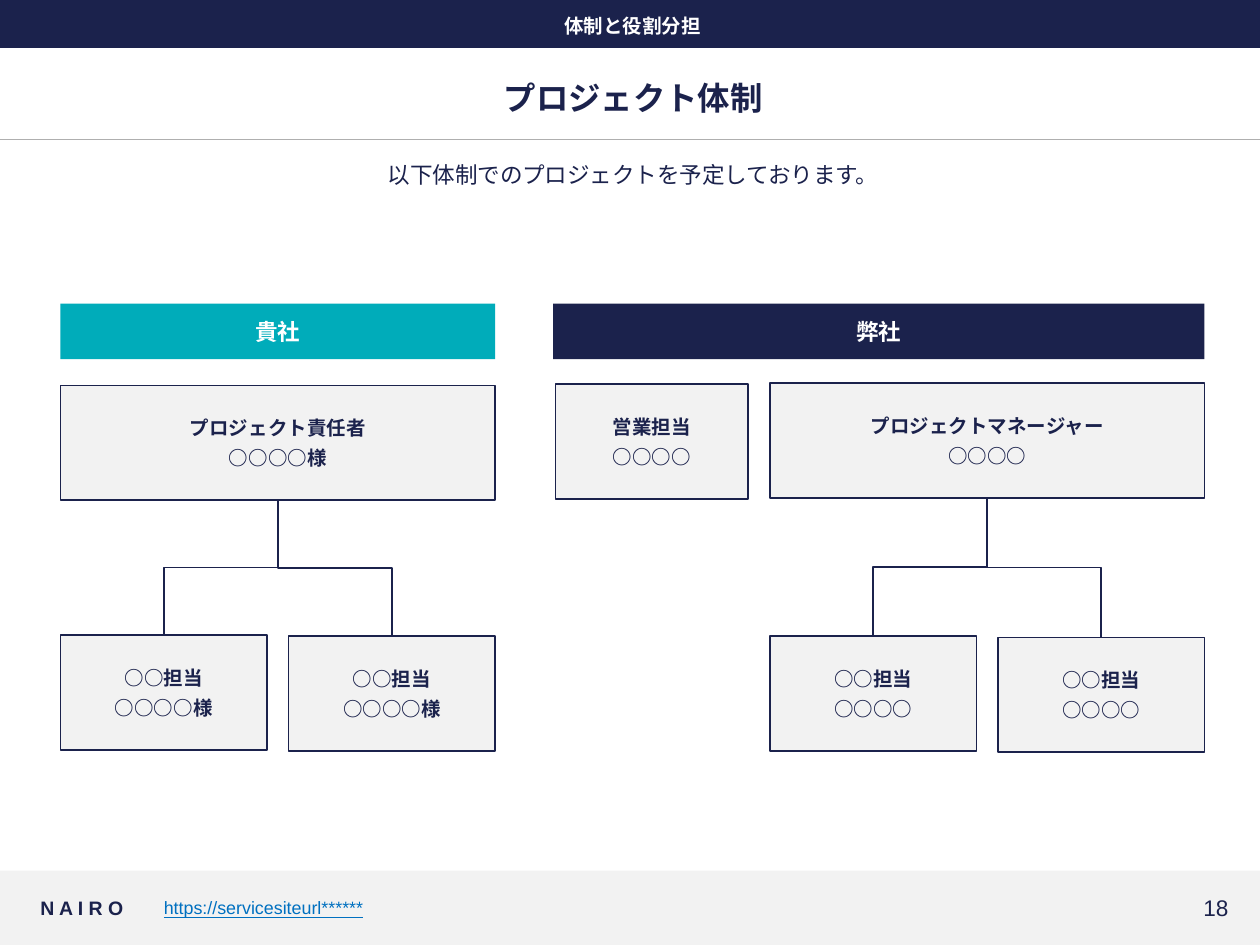
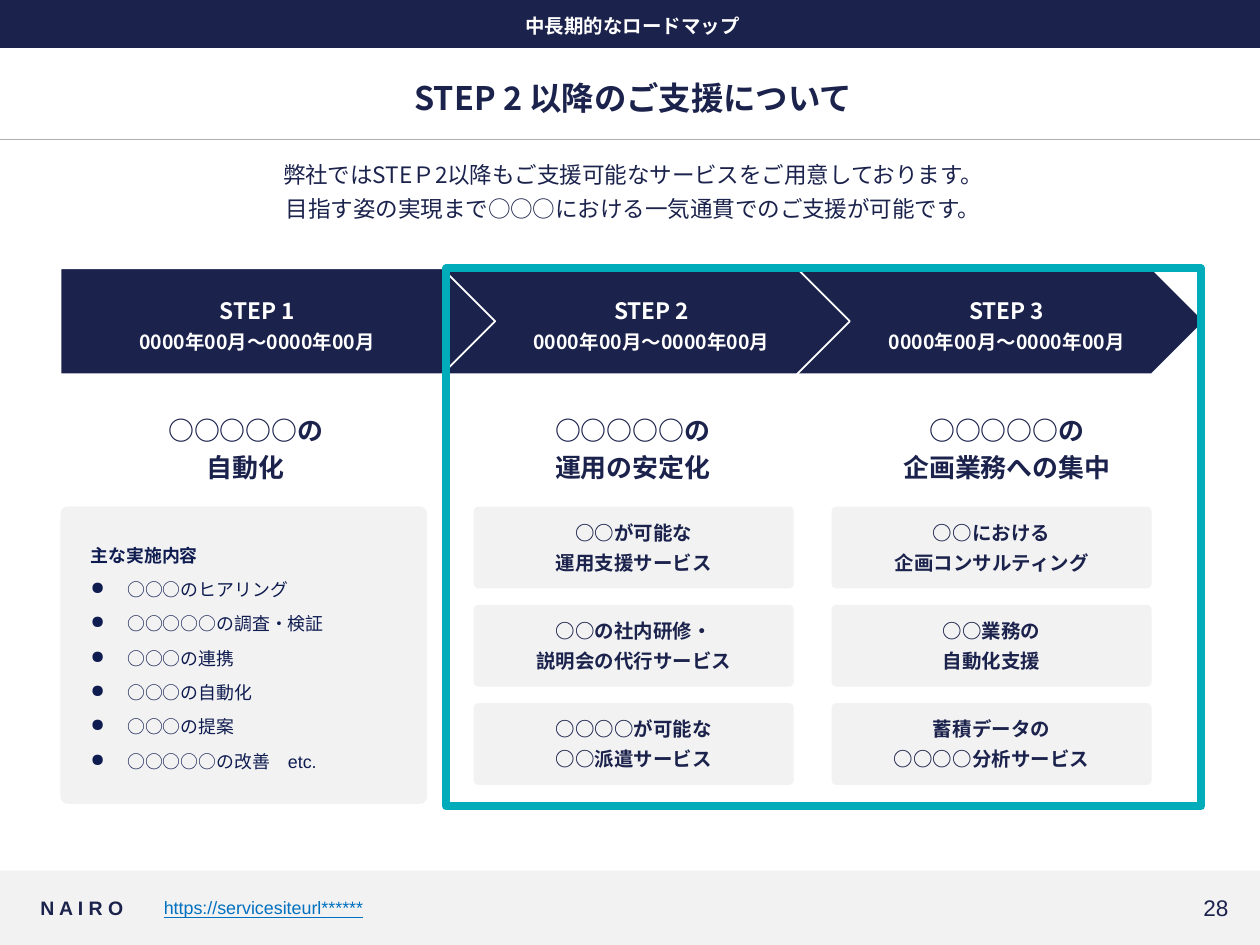
import pptx
import pptx.util
import pptx.dml.color
import pptx.enum.shapes
import pptx.enum.text
import pptx.oxml.ns
import lxml.etree

NAVY, TEAL, GREY, WHITE = "1B224C", "00ACBA", "F2F2F2", "FFFFFF"
RULE, LINK, INK = "AFAFAF", "0070C0", "0F1C50"
SANS, LATIN = "Noto Sans CJK JP", "Arial"
COLS, ROWS = 100, 75  # the grid that all places are given in

Kind = pptx.enum.shapes.MSO_SHAPE
Wire = pptx.enum.shapes.MSO_CONNECTOR
Align = pptx.enum.text.PP_ALIGN
Anchor = pptx.enum.text.MSO_ANCHOR
qn = pptx.oxml.ns.qn


def tint(code):
    return pptx.dml.color.RGBColor.from_string(code)


def write(shape, text, size=11.1, color=NAVY, bold=False, font=SANS, align=Align.CENTER,
          anchor=Anchor.MIDDLE, after=0, hang=None, bullet=None, space=None, under=None):
    """Fill a shape; each line of text becomes a paragraph. Extends a filled one."""
    frame = shape.text_frame
    frame.word_wrap = True
    frame.vertical_anchor = anchor
    frame.margin_left = frame.margin_right = pptx.util.Inches(0.04)
    frame.margin_top = frame.margin_bottom = pptx.util.Inches(0.04)
    for line in text.split("\n"):
        para = frame.add_paragraph() if frame.text else frame.paragraphs[0]
        para.alignment = align
        para.space_after = pptx.util.Pt(after)
        if space:
            para.line_spacing = space
        props = para._p.get_or_add_pPr()
        if hang:
            left, first = hang
            props.set("marL", str(pptx.util.Inches(left)))
            props.set("indent", str(pptx.util.Inches(first)))
        if bullet:
            lxml.etree.SubElement(props, qn("a:buChar")).set("char", bullet)
        run = para.add_run()
        run.text = line
        face = run.font
        face.name, face.size, face.bold = font, pptx.util.Pt(size), bold
        face.color.rgb = tint(color)
        face.underline = under


class Deck:
    def __init__(self):
        self.file = pptx.Presentation()
        self.file.slide_width = pptx.util.Inches(10)
        self.file.slide_height = pptx.util.Inches(7.5)
        self.slide = None

    def place(self, col, row, wide, high):
        across = self.file.slide_width / COLS
        down = self.file.slide_height / ROWS
        return [round(v) for v in (col * across, row * down, wide * across, high * down)]

    def box(self, at, fill=None, line=None, width=1, kind=Kind.RECTANGLE, round_by=None):
        shape = self.slide.shapes.add_shape(kind, *self.place(*at))
        shape.shadow.inherit = False
        if fill:
            shape.fill.solid()
            shape.fill.fore_color.rgb = tint(fill)
        else:
            shape.fill.background()
        if line:
            shape.line.color.rgb = tint(line)
            shape.line.width = pptx.util.Pt(width)
        else:
            shape.line.fill.background()
        if round_by:
            shape.adjustments[0] = round_by
        return shape

    def label(self, at, text, **style):
        shape = self.slide.shapes.add_textbox(*self.place(*at))
        write(shape, text, **style)
        return shape

    def wire(self, kind, ends, color, width):
        line = self.slide.shapes.add_connector(kind, *ends)
        line.line.color.rgb = tint(color)
        line.line.width = pptx.util.Pt(width)
        lxml.etree.SubElement(line._element.spPr, qn("a:effectLst"))
        return line

    def elbow(self, top, low):
        """Join the foot of one box to the head of another, down-across-down."""
        x1, y1 = top.left + top.width // 2, top.top + top.height
        x2, y2 = low.left + low.width // 2, low.top
        line = self.wire(Wire.ELBOW, (x1, y1, x2, y2), NAVY, 1)
        line.begin_connect(top, 2)
        line.end_connect(low, 0)
        # a quarter turn makes the bend leave downwards
        long, wide = y2 - y1, abs(x2 - x1)
        line.left, line.top = (x1 + x2 - long) // 2, (y1 + y2 - wide) // 2
        line.width, line.height = long, wide
        right = x2 > x1
        frame = line._element.spPr.find(qn("a:xfrm"))
        frame.set("rot", str((270 if right else 90) * 60000))
        frame.set("flipH", "1" if right else "0")
        frame.set("flipV", "0")

    def start(self, band, title, lead, page):
        """New slide with footer, top band, title and lead."""
        self.slide = self.file.slides.add_slide(self.file.slide_layouts[6])
        self.box((0, 69.1, COLS, 5.9), GREY)
        self.label((12.6, 70.5, 72.8, 3.1), "https://servicesiteurl******", size=10.2,
                   color=LINK, font=LATIN, align=Align.LEFT, under=True)
        self.label((2.8, 70.5, 9.8, 3.1), "N A I R O", bold=True, font=LATIN,
                   align=Align.LEFT)
        x, y, wide, _ = self.place(0, 11.1, COLS, 0)
        self.wire(Wire.STRAIGHT, (x, y, wide, y), RULE, 0.5)
        self.box((0, -0.1, COLS, 3.9), NAVY)
        body = dict(anchor=Anchor.TOP, after=3.7, hang=(0.15, -0.22))
        self.label((4.8, 12.4, 90.9, 6.3), lead, size=12.9, **body)
        self.label((88.1, 70.5, 9.8, 3.1), page, size=12.9, font=LATIN, align=Align.RIGHT)
        self.label((4.8, 0.7, 90.8, 2.8), band, color=WHITE, bold=True, **body)
        self.label((4.8, 5.8, 90.9, 3.9), title, size=18.5, bold=True)

    def head(self, at, text, fill):
        write(self.box(at, fill), text, size=12.9, color=WHITE, bold=True)

    def role(self, col, row, wide, text):
        shape = self.box((col, row, wide, 9.1), GREY, NAVY)
        write(shape, text, bold=True, after=3.7)
        return shape

    def card(self, at, text=None, round_by=0.059):
        shape = self.box(at, GREY, kind=Kind.ROUNDED_RECTANGLE, round_by=round_by)
        if text:
            write(shape, text, bold=True, after=3.7)


def team(deck):
    deck.start("体制と役割分担", "プロジェクト体制",
               "以下体制でのプロジェクトを予定しております。", "18")
    deck.head((4.8, 24.1, 34.5, 4.4), "貴社", TEAL)
    deck.head((43.9, 24.1, 51.7, 4.4), "弊社", NAVY)
    deck.role(44.1, 30.5, 15.3, "営業担当\n○○○○")
    # each tree: lead box, then two members below it
    trees = [
        (4.8, 30.6, "プロジェクト責任者\n○○○○様", "○○担当\n○○○○様", 50.4),
        (61.1, 30.4, "プロジェクトマネージャー\n○○○○", "○○担当\n○○○○", 50.5),
    ]
    for col, row, chief, member, low in trees:
        top = deck.role(col, row, 34.5, chief)
        for i in range(2):
            deck.elbow(top, deck.role(col + 18.1 * i, low + 0.1 * i, 16.4, member))


def roadmap(deck):
    deck.start("中長期的なロードマップ", "STEP 2 以降のご支援について",
               "弊社ではSTEＰ2以降もご支援可能なサービスをご用意しております。\n"
               "目指す姿の実現まで○○○における一気通貫でのご支援が可能です。", "28")
    # service cards
    cards = [
        ["○○が可能な\n運用支援サービス", "○○の社内研修・\n説明会の代行サービス",
         "○○○○が可能な\n○○派遣サービス"],
        ["○○における\n企画コンサルティング", "○○業務の\n自動化支援",
         "蓄積データの\n○○○○分析サービス"],
    ]
    for i, stack in enumerate(cards):
        for j, text in enumerate(stack):
            deck.card((37.6 + 28.4 * i, 40.2 + 7.8 * j, 25.4, 6.5), text)
    # list of work
    deck.card((4.8, 40.2, 29.1, 23.6), round_by=0.024)
    style = dict(size=10.2, color=INK, font=LATIN, align=Align.LEFT,
                 anchor=Anchor.TOP, after=3.7, space=1.3)
    work = deck.label((6.8, 42.3, 25.4, 19.6), "主な実施内容", bold=True, **style)
    write(work, "○○○のヒアリング\n○○○○○の調査・検証\n○○○の連携\n○○○の自動化\n"
          "○○○の提案\n○○○○○の改善　etc.", hang=(0.29, -0.29), bullet="●", **style)
    # step arrows, the first on top
    for i in reversed(range(3)):
        deck.box((4.8 + 28.15 * i, 21.3, 34.5, 8.4), NAVY, WHITE, kind=Kind.PENTAGON)
    steps = [(9.5, 8.6, "自動化"), (40.8, 39.3, "運用の安定化"),
             (69, 69, "企画業務への集中")]
    for i, (col, goal, text) in enumerate(steps, 1):
        name = deck.label((col, 22.7, 21.8, 6.2), f"STEP {i}", size=12.9,
                          color=WHITE, bold=True, after=3.7)
        write(name, "0000年00月～0000年00月", color=WHITE, bold=True, after=3.7)
        deck.label((goal, 31.6, 21.8, 8), "○○○○○の\n" + text, size=14.8,
                   bold=True, after=3.7)
    # frame around the later steps
    deck.box((35.4, 21.3, 59.9, 42.7), line=TEAL, width=4.5)


def main():
    deck = Deck()
    team(deck)
    roadmap(deck)
    deck.file.save("out.pptx")


if __name__ == "__main__":
    main()
